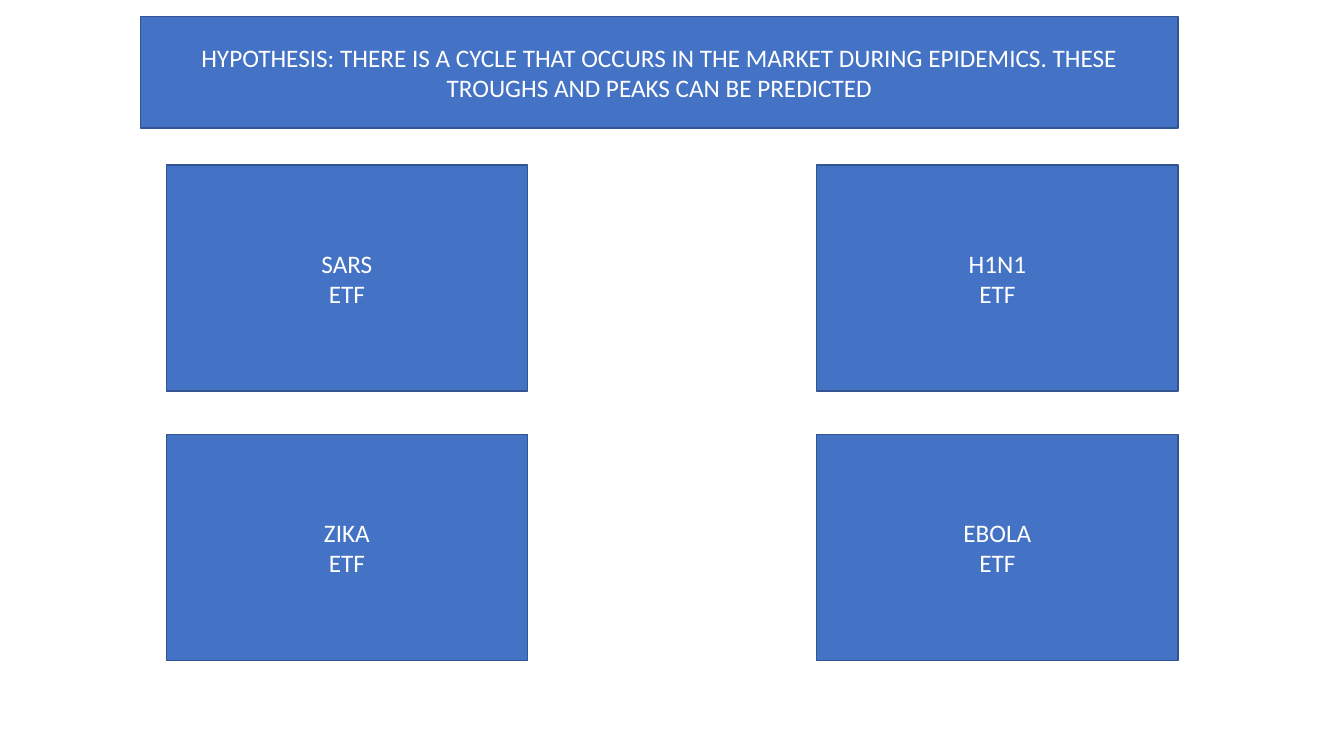
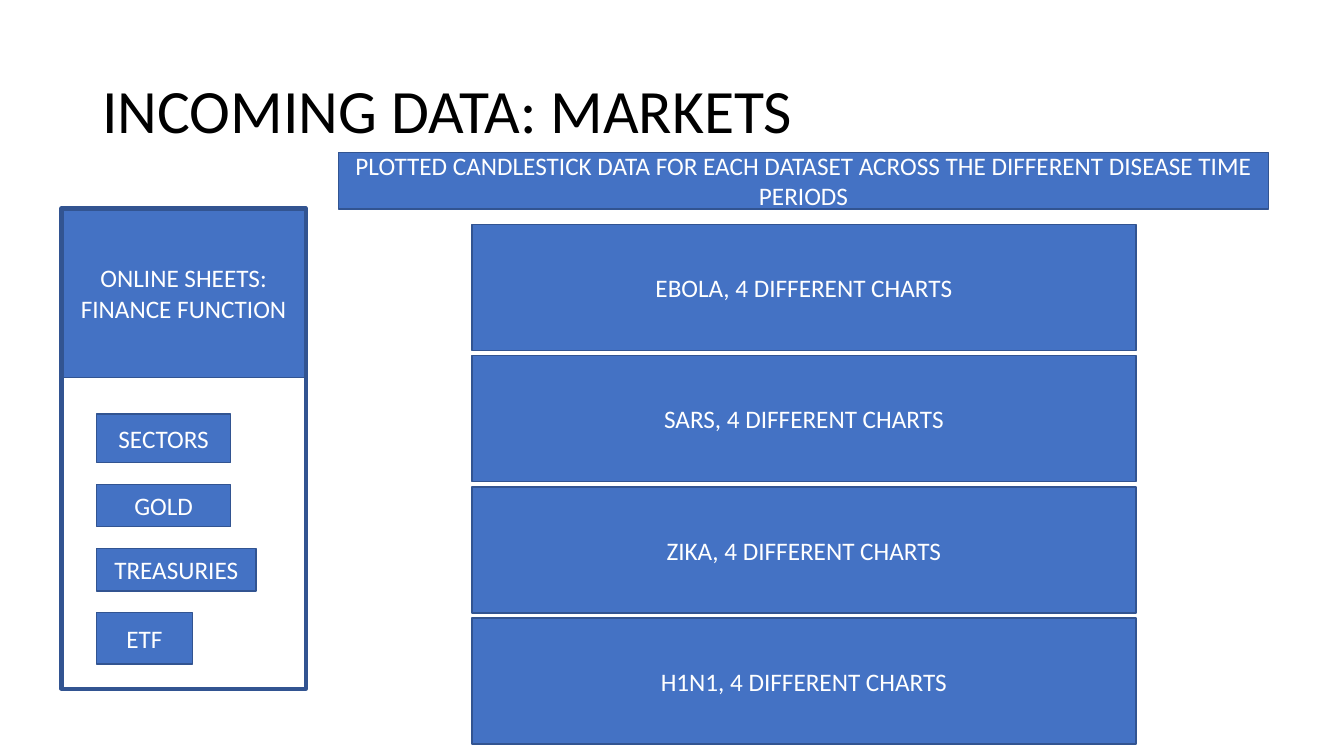
from pptx import Presentation
from pptx.util import Pt
from pptx.dml.color import RGBColor
from pptx.enum.shapes import MSO_SHAPE as Shape
from pptx.enum.text import PP_ALIGN as Align, MSO_ANCHOR as Anchor

FONT = "Calibri"
BLUE, NAVY, WHITE, BLACK = "4472C4", "325491", "FFFFFF", "000000"

CLAIM = ("HYPOTHESIS: THERE IS A CYCLE THAT OCCURS IN THE MARKET DURING "
         "EPIDEMICS. THESE TROUGHS AND PEAKS CAN BE PREDICTED")
FUND = "ETF"
GRID = [["SARS", "H1N1"], ["ZIKA", "EBOLA"]]

TITLE = "INCOMING DATA: MARKETS"
SOURCE = "ONLINE SHEETS: FINANCE FUNCTION"
TAGS = [("SECTORS", 95.8, 34.8), ("GOLD", 95.8, 30.2),
        ("TREASURIES", 113.8, 30.2), (FUND, 68.4, 36.7)]
PLOT = ("PLOTTED CANDLESTICK DATA FOR EACH DATASET ACROSS "
        "THE DIFFERENT DISEASE TIME PERIODS")
CHARTS = ["EBOLA", "SARS", "ZIKA", "H1N1"]


def color(code):
    return RGBColor.from_string(code)


def style(para, size, code, align):
    para.font.name = FONT
    para.font.size = Pt(size)
    para.font.color.rgb = color(code)
    para.alignment = align


def rect(slide, left, top, width, height, weight=1):
    box = slide.shapes.add_shape(
        Shape.RECTANGLE, Pt(left), Pt(top), Pt(width), Pt(height))
    box.shadow.inherit = False
    box.line.color.rgb = color(NAVY)
    box.line.width = Pt(weight)
    return box


def panel(slide, text, left, top, width, height):
    box = rect(slide, left, top, width, height)
    box.fill.solid()
    box.fill.fore_color.rgb = color(BLUE)
    frame = box.text_frame
    frame.word_wrap = True
    frame.vertical_anchor = Anchor.MIDDLE
    frame.text = text
    for para in frame.paragraphs:
        style(para, 18, WHITE, Align.CENTER)


def frame_slide(deck):
    slide = deck.slides.add_slide(deck.slide_layouts[6])
    for row, names in enumerate(GRID):
        for col, name in enumerate(names):
            panel(slide, f"{name}\n{FUND}", 118.8 + col * 464.6,
                  118 + row * 192.5, 258, 161.3)
    panel(slide, CLAIM, 100.5, 12, 741, 79.5)


def data_slide(deck):
    slide = deck.slides.add_slide(deck.slide_layouts[5])
    title = slide.shapes.title
    title.left, title.top = Pt(66), Pt(28.75)
    title.width, title.height = Pt(828), Pt(104.4)
    title.text_frame.text = TITLE
    title.text_frame.vertical_anchor = Anchor.MIDDLE
    head = title.text_frame.paragraphs[0]
    style(head, 44, BLACK, Align.LEFT)
    head.line_spacing = 0.9

    left, top, width = 44, 149, 174.5
    panel(slide, SOURCE, left, top, width, 120.5)
    y = 295.7
    for name, wide, high in TAGS:
        panel(slide, name, 69, y, wide, high)
        y += high + 15.6
    panel(slide, PLOT, 242, 108.8, 664, 40.5)
    for row, name in enumerate(CHARTS):
        panel(slide, f"{name}, 4 DIFFERENT CHARTS",
              337, 160.4 + row * 93.7, 474.5, 90)
    rect(slide, left, top, width, 343, 3).fill.background()


deck = Presentation()
deck.slide_width, deck.slide_height = Pt(960), Pt(540)
frame_slide(deck)
data_slide(deck)
deck.save("out.pptx")
